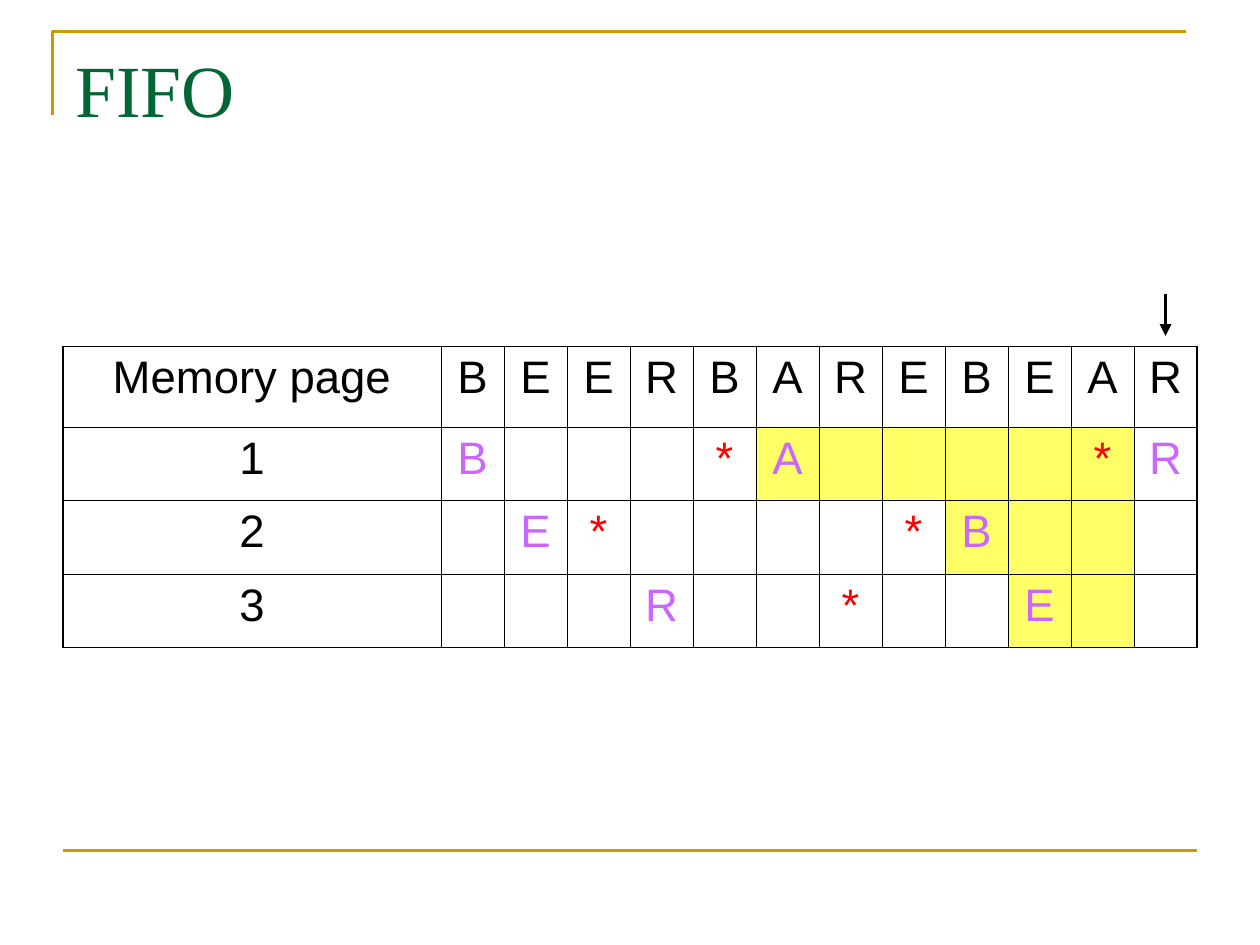
import pptx
import pptx.dml.color
import pptx.enum.shapes
import pptx.enum.text
import pptx.oxml
import pptx.oxml.ns
import pptx.util

Pt = pptx.util.Pt
BLACK, GOLD, GREEN = "000000", "CC9900", "006633"
PURPLE, RED, YELLOW = "CC66FF", "FF0000", "FFFF66"


def rgb(value):
    return pptx.dml.color.RGBColor.from_string(value)


def add_line(x1, y1, x2, y2, color, width):
    line = s.shapes.add_connector(
        pptx.enum.shapes.MSO_CONNECTOR.STRAIGHT, Pt(x1), Pt(y1), Pt(x2), Pt(y2))
    line.line.color.rgb = rgb(color)
    line.line.width = Pt(width)
    line._element.spPr.append(pptx.oxml.parse_xml(
        f'<a:effectLst {pptx.oxml.ns.nsdecls("a")}/>'))
    return line


prs = pptx.Presentation()
prs.slide_width, prs.slide_height = Pt(720), Pt(540)
s = prs.slides.add_slide(prs.slide_layouts[6])

# Corner frame and footer rule
builder = s.shapes.build_freeform(Pt(30), Pt(66), scale=1.0)
builder.add_line_segments([(Pt(30), Pt(18)), (Pt(678), Pt(18))], close=False)
sp = builder.convert_to_shape()
sp.shadow.inherit = False
sp.fill.background()
sp.line.color.rgb = rgb(GOLD)
sp.line.width = Pt(1.5)
add_line(36, 486, 684, 486, GOLD, 1.5)

# Title
sp = s.shapes.add_textbox(Pt(36), Pt(21.6), Pt(648), Pt(90))
tf = sp.text_frame
tf.word_wrap = True
p = tf.paragraphs[0]
p.text = "FIFO"
p.font.name = "Times New Roman"
p.font.size = Pt(42)
p.font.color.rgb = rgb(GREEN)

# Page table: a dot is an empty cell, a star is a hit
references = "BEERBAREBEAR"
frames = ["B...*A....*R", ".E*....*B...", "...R..*..E.."]
replaced_from = [6, 9, 10]  # first highlighted column of each frame
last_replaced = 11
rows = [["Memory page", *references]]
rows += [[str(n), *frame] for n, frame in enumerate(frames, 1)]

table_shape = s.shapes.add_table(4, 13, Pt(36), Pt(198), Pt(648), Pt(172))
table = table_shape.table
table.first_row = table.horz_banding = False
for i, column in enumerate(table.columns):
    column.width = Pt(36 if i else 216)
for i, row in enumerate(table.rows):
    row.height = Pt(42 if i else 46)

for r, row in enumerate(rows):
    for c, text in enumerate(row):
        cell = table.cell(r, c)
        p = cell.text_frame.paragraphs[0]
        p.text = "" if text == "." else text
        p.alignment = pptx.enum.text.PP_ALIGN.CENTER
        p.font.name = "Arial"
        p.font.size = Pt(26)
        color = BLACK if r == 0 or c == 0 else RED if text == "*" else PURPLE
        p.font.color.rgb = rgb(color)

        outer = {"L": c == 0, "R": c == 12, "T": r == 0, "B": r == 3}
        tcPr = cell._tc.get_or_add_tcPr()
        for side, is_outer in outer.items():
            width = Pt(1.08 if is_outer else 0.45)
            tcPr.append(pptx.oxml.parse_xml(
                f'<a:ln{side} {pptx.oxml.ns.nsdecls("a")} w="{width}"><a:solidFill>'
                f'<a:srgbClr val="{BLACK}"/></a:solidFill></a:ln{side}>'))
        if r and replaced_from[r - 1] <= c <= last_replaced:
            cell.fill.solid()
            cell.fill.fore_color.rgb = rgb(YELLOW)
        else:
            cell.fill.background()

# Arrow to the current reference
arrow = add_line(666, 168, 666, 192, BLACK, 2.25)
arrow.line._get_or_add_ln().append(pptx.oxml.parse_xml(
    f'<a:tailEnd {pptx.oxml.ns.nsdecls("a")} type="triangle"/>'))

prs.save("out.pptx")
